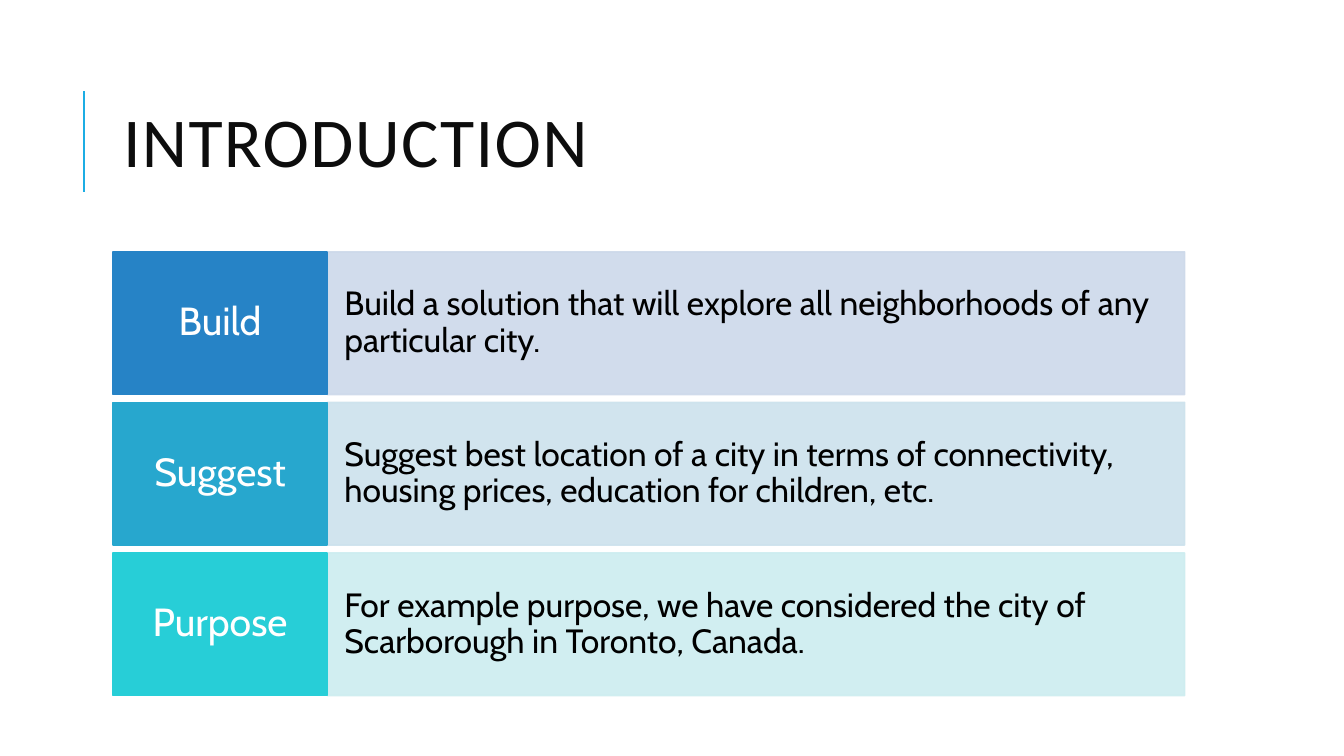
from dataclasses import dataclass

from pptx import Presentation
from pptx.dml.color import RGBColor
from pptx.enum.shapes import MSO_CONNECTOR, MSO_SHAPE
from pptx.enum.text import MSO_ANCHOR, MSO_AUTO_SIZE, PP_ALIGN
from pptx.oxml.ns import qn
from pptx.util import Inches, Pt
from lxml.etree import SubElement


@dataclass(frozen=True)
class Theme:
    title_font: str = "Calibri"
    body_font: str = "Cabin"
    title_size: float = 50
    label_size: float = 28
    text_size: float = 24
    title_color: str = "0D0D0D"
    label_color: str = "FFFFFF"
    text_color: str = "000000"
    accent: str = "1CADE4"
    outline: float = 1.25
    panel_opacity: int = 90


@dataclass(frozen=True)
class Box:
    left: float
    top: float
    width: float
    height: float

    def emu(self):
        return [Inches(v) for v in (self.left, self.top, self.width, self.height)]


THEME = Theme()
TITLE_BOX = Box(1.12, 0.64, 10.63, 1.64)
ROWS_BOX = Box(1.12, 2.5, 10.63, 4.4)
LABEL_SHARE = 0.2
ROW_GAP = 0.08

# Label, label colour, panel colour, statement
ROWS = [
    ("Build", "2683C6", "CDD9EA",
     "Build a solution that will explore all neighborhoods of any particular city."),
    ("Suggest", "27A7CE", "CDE2ED",
     "Suggest best location of a city in terms of connectivity, "
     "housing prices, education for children, etc."),
    ("Purpose", "27CED7", "CDEDF0",
     "For example purpose, we have considered the city of "
     "Scarborough in Toronto, Canada."),
]


def add_span(para, text, font, size, color):
    span = para.add_run()
    span.text = text
    span.font.name = font
    span.font.size = Pt(size)
    span.font.color.rgb = RGBColor.from_string(color)
    return span


def set_opacity(shape, percent):
    for color in shape.fill._xPr.iter(qn("a:srgbClr")):
        SubElement(color, qn("a:alpha")).set("val", str(percent * 1000))


def add_cell(page, box, fill, text, size, color, align, inset, opacity=100):
    cell = page.shapes.add_shape(MSO_SHAPE.RECTANGLE, *box.emu())
    cell.shadow.inherit = False
    cell.fill.solid()
    cell.fill.fore_color.rgb = RGBColor.from_string(fill)
    cell.line.color.rgb = RGBColor.from_string(fill)
    cell.line.width = Pt(THEME.outline)
    if opacity < 100:
        set_opacity(cell, opacity)
    frame = cell.text_frame
    frame.word_wrap = True
    frame.vertical_anchor = MSO_ANCHOR.MIDDLE
    frame.margin_left = frame.margin_right = Inches(inset[0])
    frame.margin_top = frame.margin_bottom = Inches(inset[1])
    para = frame.paragraphs[0]
    para.alignment = align
    para.line_spacing = 0.9
    add_span(para, text, THEME.body_font, size, color)


def add_title(page, box, text):
    # Accent rule to the left of the title
    rule_x = Inches(box.left - 0.29)
    rule = page.shapes.add_connector(
        MSO_CONNECTOR.STRAIGHT, rule_x, Inches(box.top + 1.26),
        rule_x, Inches(box.top + 0.26))
    rule.line.color.rgb = RGBColor.from_string(THEME.accent)
    rule.line.width = Pt(1.5)
    SubElement(rule._element.spPr, qn("a:effectLst"))

    # Title placeholder
    title = page.shapes.title
    title.left, title.top, title.width, title.height = box.emu()
    frame = title.text_frame
    frame.word_wrap = True
    frame.auto_size = MSO_AUTO_SIZE.NONE
    frame.vertical_anchor = MSO_ANCHOR.MIDDLE
    para = frame.paragraphs[0]
    para.alignment = PP_ALIGN.LEFT
    para.line_spacing = 0.8
    span = add_span(para, text, THEME.title_font, THEME.title_size, THEME.title_color)
    span.font._element.set("spc", "100")


def add_rows(page, box, rows):
    height = (box.height - ROW_GAP * (len(rows) - 1)) / len(rows)
    label_width = box.width * LABEL_SHARE
    for index, (label, label_fill, panel_fill, statement) in enumerate(rows):
        top = box.top + index * (height + ROW_GAP)
        # Statement panel
        panel = Box(box.left + label_width, top, box.width - label_width, height)
        add_cell(page, panel, panel_fill, statement, THEME.text_size,
                 THEME.text_color, PP_ALIGN.LEFT, (0.17, 0.36), THEME.panel_opacity)
        # Label block
        add_cell(page, Box(box.left, top, label_width, height), label_fill, label,
                 THEME.label_size, THEME.label_color, PP_ALIGN.CENTER, (0.11, 0.14))


def main():
    deck = Presentation()
    deck.slide_width, deck.slide_height = Inches(13.33), Inches(7.5)
    page = deck.slides.add_slide(deck.slide_layouts.get_by_name("Title Only"))
    add_title(page, TITLE_BOX, "INTRODUCTION")
    add_rows(page, ROWS_BOX, ROWS)
    deck.save("out.pptx")


if __name__ == "__main__":
    main()
